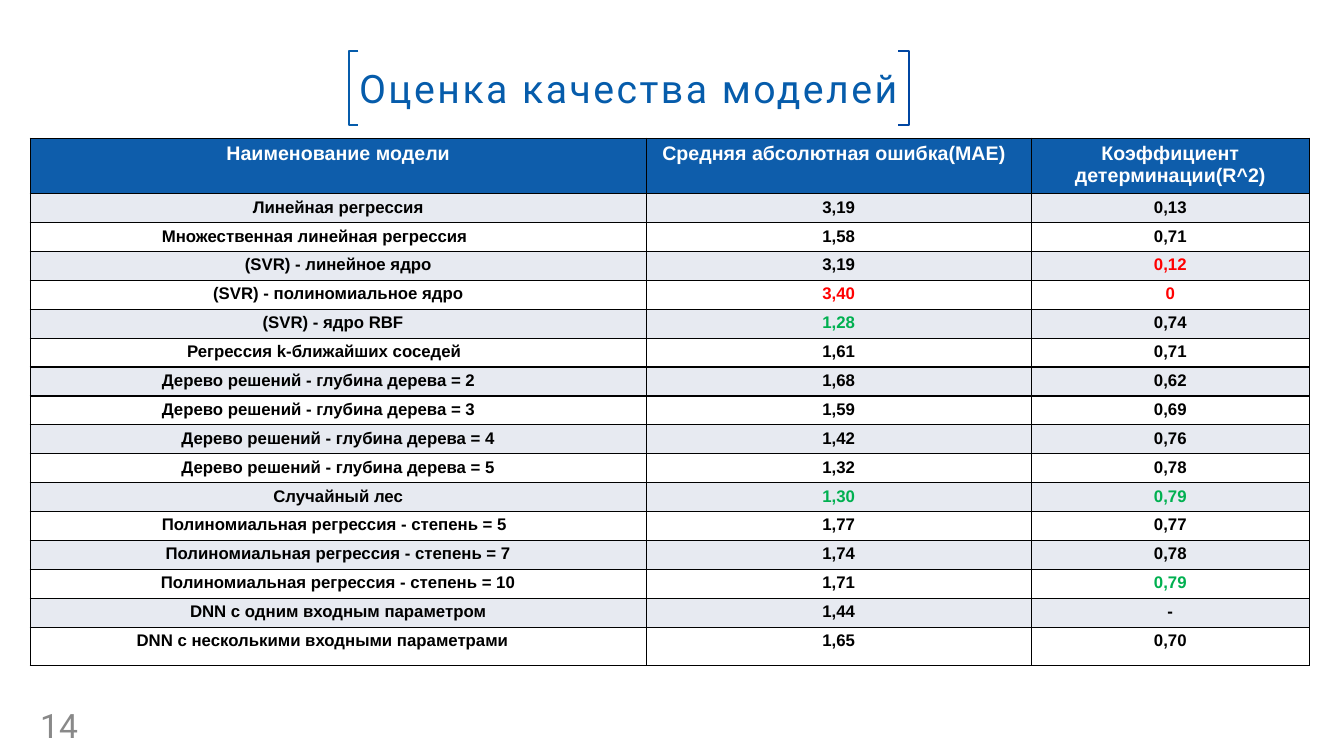
from lxml import etree
from pptx import Presentation
from pptx.dml.color import RGBColor
from pptx.enum.shapes import MSO_SHAPE
from pptx.enum.text import MSO_ANCHOR, PP_ALIGN
from pptx.oxml.ns import qn
from pptx.util import Pt

RECTANGLE = MSO_SHAPE.RECTANGLE
MIDDLE = MSO_ANCHOR.MIDDLE
LEFT, CENTER = PP_ALIGN.LEFT, PP_ALIGN.CENTER

WHITE = RGBColor(0xFF, 0xFF, 0xFF)
BLACK = RGBColor(0x00, 0x00, 0x00)
GRAY = RGBColor(0x89, 0x89, 0x89)
BLUE = RGBColor(0x06, 0x5C, 0xAB)
DARK_BLUE = RGBColor(0x00, 0x46, 0xA2)
HEADER_BLUE = RGBColor(0x0E, 0x5D, 0xAB)
BAND = RGBColor(0xE7, 0xEA, 0xF1)
RED = RGBColor(0xFF, 0x00, 0x00)
GREEN = RGBColor(0x00, 0xB0, 0x50)

COLUMN_WIDTHS = (440, 275, 198.7)
HEADER_HEIGHT, ROW_HEIGHT, LAST_HEIGHT = 38.2, 20.65, 27.4
HEADERS = ("Наименование модели", "Средняя абсолютная ошибка(MAE)\t",
           "Коэффициент детерминации(R^2)")
MODELS = (
    ("Линейная регрессия", "3,19", "0,13"),
    ("Множественная линейная регрессия\t", "1,58", "0,71"),
    ("(SVR) - линейное ядро", "3,19", "0,12"),
    ("(SVR) - полиномиальное ядро", "3,40", "0"),
    ("(SVR) - ядро RBF\t", "1,28", "0,74"),
    ("Регрессия k-ближайших соседей\t", "1,61", "0,71"),
    ("Дерево решений - глубина дерева = 2\t", "1,68", "0,62"),
    ("Дерево решений - глубина дерева = 3\t", "1,59", "0,69"),
    ("Дерево решений - глубина дерева = 4", "1,42", "0,76"),
    ("Дерево решений - глубина дерева = 5", "1,32", "0,78"),
    ("Случайный лес", "1,30", "0,79"),
    ("Полиномиальная регрессия - степень = 5\t", "1,77", "0,77"),
    ("Полиномиальная регрессия - степень = 7", "1,74", "0,78"),
    ("Полиномиальная регрессия - степень = 10", "1,71", "0,79"),
    ("DNN с одним входным параметром", "1,44", "-"),
    ("DNN с несколькими входными параметрами\t", "1,65", "0,70"),
)
HIGHLIGHTS = {"3,40": RED, "0,12": RED, "0": RED,
              "1,28": GREEN, "1,30": GREEN, "0,79": GREEN}


def set_text(tf, text, font, size, color, align=CENTER, bold=False):
    tf.text = text
    p = tf.paragraphs[0]
    p.alignment = align
    r = p.runs[0]
    r.font.name = font
    r.font.size = Pt(size)
    r.font.bold = bold
    r.font.color.rgb = color
    return r


def add_line_fill(ln, color):
    fill = etree.SubElement(ln, qn("a:solidFill"))
    etree.SubElement(fill, qn("a:srgbClr"), val=str(color))


def add_title(slide, text):
    sp = slide.shapes.add_shape(RECTANGLE, Pt(249), Pt(36.7), Pt(400), Pt(52.6))
    sp.shadow.inherit = False
    sp.fill.solid()
    sp.fill.fore_color.rgb = WHITE
    sp.line.color.rgb = WHITE
    sp.line.width = Pt(2)
    tf = sp.text_frame
    tf.word_wrap = False
    tf.vertical_anchor = MIDDLE
    r = set_text(tf, text, "Roboto", 28, BLUE)
    rPr = r._r.get_or_add_rPr()
    rPr.set("spc", "180")
    ln = etree.Element(qn("a:ln"), w=str(Pt(0.75)))
    add_line_fill(ln, BLUE)
    rPr.insert(0, ln)


def add_bracket(slide, tip, edge, color):
    top, bottom = Pt(36.7), Pt(89.3)
    builder = slide.shapes.build_freeform(Pt(tip), top)
    builder.add_line_segments(
        [(Pt(edge), top), (Pt(edge), bottom), (Pt(tip), bottom)], close=False)
    sp = builder.convert_to_shape()
    sp.shadow.inherit = False
    sp.fill.background()
    sp.line.color.rgb = color
    sp.line.width = Pt(1.3)


def add_page_number(slide, number):
    sp = slide.shapes.add_textbox(Pt(21.6), Pt(506.9), Pt(44.6), Pt(21.6))
    tf = sp.text_frame
    tf.word_wrap = True
    tf.vertical_anchor = MIDDLE
    set_text(tf, number, "Roboto", 24, GRAY, LEFT)


def fill_cell(cell, text, size, color, fill):
    tcPr = cell._tc.get_or_add_tcPr()
    for side in ("a:lnL", "a:lnR", "a:lnT", "a:lnB"):
        add_line_fill(etree.SubElement(tcPr, qn(side), w=str(Pt(1))), BLACK)
    cell.fill.solid()
    cell.fill.fore_color.rgb = fill
    cell.margin_top = cell.margin_bottom = Pt(3)
    set_text(cell.text_frame, text, "Arial", size, color, bold=True)


def add_model_table(slide):
    heights = [HEADER_HEIGHT] + [ROW_HEIGHT] * (len(MODELS) - 1) + [LAST_HEIGHT]
    table = slide.shapes.add_table(
        len(heights), len(HEADERS), Pt(21.6), Pt(98.8),
        Pt(sum(COLUMN_WIDTHS)), Pt(sum(heights))).table
    for column, width in zip(table.columns, COLUMN_WIDTHS):
        column.width = Pt(width)
    for row, height in zip(table.rows, heights):
        row.height = Pt(height)
    for j, text in enumerate(HEADERS):
        fill_cell(table.cell(0, j), text, 14, WHITE, HEADER_BLUE)
    for i, model in enumerate(MODELS, 1):
        fill = BAND if i % 2 else WHITE
        for j, text in enumerate(model):
            fill_cell(table.cell(i, j), text, 12, HIGHLIGHTS.get(text, BLACK), fill)


def main():
    prs = Presentation()
    prs.slide_width = Pt(960)
    prs.slide_height = Pt(540)
    slide = prs.slides.add_slide(prs.slide_layouts[6])
    add_page_number(slide, "14")
    add_title(slide, "Оценка качества моделей")
    add_bracket(slide, 256, 249, BLUE)
    add_bracket(slide, 641.5, 649.2, DARK_BLUE)
    add_model_table(slide)
    prs.save("out.pptx")


if __name__ == "__main__":
    main()
